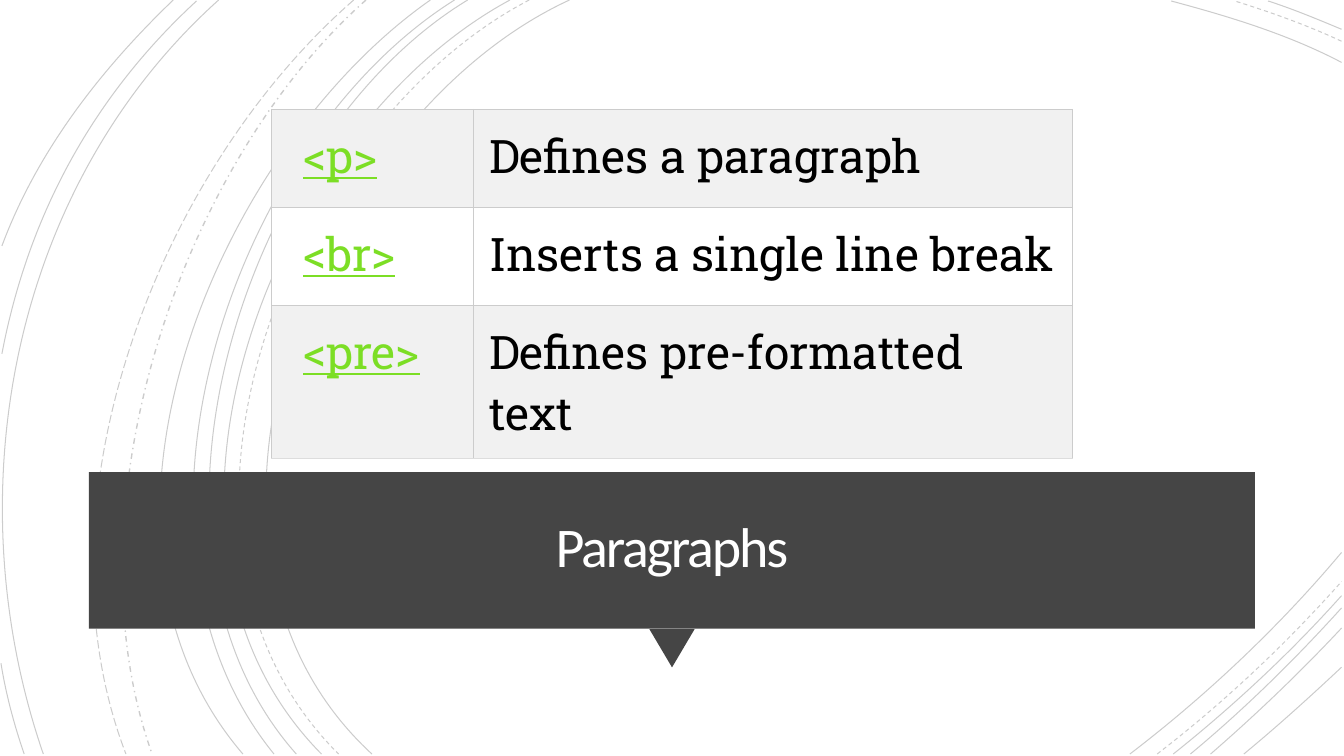
from pptx import Presentation
from pptx.dml.color import RGBColor
from pptx.enum.dml import MSO_LINE
from pptx.enum.shapes import MSO_SHAPE
from pptx.enum.text import MSO_ANCHOR, MSO_AUTO_SIZE, PP_ALIGN
from pptx.oxml.ns import qn
from pptx.util import Pt
from lxml.etree import SubElement

COLORS = {
    "arc": "000000", "bar": "454545", "title": "FFFFFF", "tag": "7CDE25",
    "text": "000000", "band": "F1F1F1", "plain": "FFFFFF",
    "border": "CCCCCC", "bottom": "DDDDDD",
}
BOTTOM, RIGHT = 538.6, 958.3
SOLID, DASH = MSO_LINE.SOLID, MSO_LINE.DASH

LEFT_ARCS = [
    (406.8, 226.8, 82.8, 103, 388.8, 265.7, SOLID, 0.75),
    (378, 205.2, 90, 88.6, 386.6, 241.9, DASH, 0.75),
    (364.3, 194.4, 91.4, 79.2, 386.6, 229.7, SOLID, 0.75),
    (334.1, 175.7, 95.8, 79.2, 389.5, 211.7, SOLID, 0.75),
    (324.7, 166.3, 99.4, 69.8, 383.8, 195.8, SOLID, 0.75),
    (307.4, 156.2, 105.8, 38.2, 380.9, 173.5, SOLID, 0.75),
    (261.4, 126.7, 119.5, 46.8, 366.5, 108.7, MSO_LINE.DASH_DOT, 1),
    (252.7, 113, 121.7, 20.9, 359.3, 90, MSO_LINE.LONG_DASH, 0.75),
    (156.2, 7.9, 133.2, -33.1, 352.8, 31, SOLID, 0.75),
]
EDGE_ARCS = [
    ((140.4, 0.7), (66.2, 69.1), (20.2, 154.1), (1.4, 252.7)),
    ((0.7, 473.8), (4.3, 496.1), (10.1, 517.7), (17.3, BOTTOM)),
    ((123.8, 0), (72, 49.7), (26.6, 108), (1.4, 175.7)),
]
TOP_RIGHT_ARCS = [
    (44.6, 920.2, 24.5, 877, 11.5, 836.6, SOLID),
    (29.5, 933.8, 18, 907.2, 8.6, 882, DASH),
    (20.9, 941, 13.7, 923.8, 6.5, 905.8, SOLID),
]
BOTTOM_RIGHT_ARCS = [
    (807.1, 861.8, 496.8, 913.7, 447.8, 394.6, SOLID),
    (826.6, 873.4, 502.6, 918, 460.8, 415.4, DASH),
    (838.1, 880.6, 504.7, 921.6, 466.6, 425.5, SOLID),
    (850.3, 888.5, 506.9, 924.5, 471.6, 434.2, SOLID),
    (864.7, 897.1, 510.5, 928.8, 480.2, 448.6, SOLID),
    (888.5, 912.2, 519.1, 935.3, 498.2, 476.6, SOLID),
]
TAGS = [
    ("<p>", "Defines a paragraph"),
    ("<br>", "Inserts a single line break"),
    ("<pre>", "Defines pre-formatted text"),
]


class Deck:
    """Holds the style and the current slide, and draws its elements."""

    def __init__(self, s):
        self.s = s

    def color(self, name):
        return RGBColor.from_string(COLORS[name])

    def arc(self, start, c1, c2, end, dash=SOLID, width=0.75):
        pts = [(Pt(x), Pt(y)) for x, y in (start, c1, c2, end)]
        fb = self.s.shapes.build_freeform(*pts[0])
        fb.add_line_segments(pts[1:], close=False)
        sp = fb.convert_to_shape()
        path = sp._element.find(".//" + qn("a:path"))
        corners = path.findall(qn("a:lnTo"))
        bezier = SubElement(path, qn("a:cubicBezTo"))
        for corner in corners:
            bezier.append(corner[0])
            path.remove(corner)
        sp.shadow.inherit = False
        sp.fill.background()
        sp.line.width = Pt(width)
        sp.line.color.rgb = self.color("arc")
        sp.line.dash_style = dash
        clr = sp._element.spPr.find(qn("a:ln")).find(".//" + qn("a:srgbClr"))
        SubElement(clr, qn("a:alpha"), val="20000")

    def shape(self, kind, x, y, w, h, rotation=0):
        sp = self.s.shapes.add_shape(kind, Pt(x), Pt(y), Pt(w), Pt(h))
        sp.rotation = rotation
        sp.shadow.inherit = False
        sp.fill.solid()
        sp.fill.fore_color.rgb = self.color("bar")
        sp.line.fill.background()

    def run(self, p, text, font, size, color):
        r = p.add_run()
        r.text = text
        r.font.name = font
        r.font.size = Pt(size)
        r.font.color.rgb = self.color(color)
        return r

    def title(self, text, x, y, w, h):
        sp = self.s.shapes.title
        sp.left, sp.top, sp.width, sp.height = Pt(x), Pt(y), Pt(w), Pt(h)
        self.s.shapes._spTree.append(sp._element)
        tf = sp.text_frame
        tf.word_wrap = True
        tf.auto_size = MSO_AUTO_SIZE.NONE
        tf.vertical_anchor = MSO_ANCHOR.MIDDLE
        tf.margin_left = tf.margin_right = tf.margin_top = tf.margin_bottom = Pt(18)
        p = tf.paragraphs[0]
        p.alignment = PP_ALIGN.CENTER
        p.line_spacing = 0.85
        r = self.run(p, text, "Calibri", 40, "title")
        r._r.get_or_add_rPr().set("spc", "-150")

    def borders(self, cell, bottom):
        tcPr = cell._tc.get_or_add_tcPr()
        for side in "LRTB":
            ln = SubElement(tcPr, qn("a:ln" + side), w=str(Pt(0.75)))
            fill = SubElement(ln, qn("a:solidFill"))
            name = bottom if side == "B" else "border"
            SubElement(fill, qn("a:srgbClr"), val=COLORS[name])

    def table(self, rows, x, y, widths, row_height):
        tbl = self.s.shapes.add_table(
            len(rows), len(widths), Pt(x), Pt(y),
            Pt(sum(widths)), Pt(row_height * len(rows))).table
        tbl.first_row = tbl.horz_banding = False
        for column, width in zip(tbl.columns, widths):
            column.width = Pt(width)
        for i, texts in enumerate(rows):
            tbl.rows[i].height = Pt(row_height)
            for j, text in enumerate(texts):
                is_tag = j == 0
                cell = tbl.cell(i, j)
                self.borders(cell, "bottom" if i == len(rows) - 1 else "border")
                cell.fill.solid()
                cell.fill.fore_color.rgb = self.color("plain" if i % 2 else "band")
                cell.margin_top = cell.margin_bottom = cell.margin_right = Pt(11.25)
                cell.margin_left = Pt(22.5 if is_tag else 11.25)
                p = cell.text_frame.paragraphs[0]
                r = self.run(p, text, "Roboto Slab", 33, "tag" if is_tag else "text")
                r.font.underline = is_tag


prs = Presentation()
prs.slide_width, prs.slide_height = Pt(960), Pt(540)
deck = Deck(prs.slides.add_slide(prs.slide_layouts[5]))

for x0, x1, y1, x2, y2, x3, dash, width in LEFT_ARCS:
    deck.arc((x0, 0), (x1, y1), (x2, y2), (x3, BOTTOM), dash, width)
for points in EDGE_ARCS:
    deck.arc(*points)
for y0, x1, y1, x2, y2, x3, dash in TOP_RIGHT_ARCS:
    deck.arc((RIGHT, y0), (x1, y1), (x2, y2), (x3, 0.7), dash)
for x0, x1, y1, x2, y2, y3, dash in BOTTOM_RIGHT_ARCS:
    deck.arc((x0, BOTTOM), (x1, y1), (x2, y2), (RIGHT, y3), dash)

deck.shape(MSO_SHAPE.ISOSCELES_TRIANGLE, 463.8, 449.3, 32.4, 27.4, 180)
deck.shape(MSO_SHAPE.RECTANGLE, 63.5, 337.2, 833, 111.8)
deck.title("Paragraphs", 70, 344, 820, 98.5)
deck.table(TAGS, 194.2, 78, [144, 428], 70)

prs.save("out.pptx")
